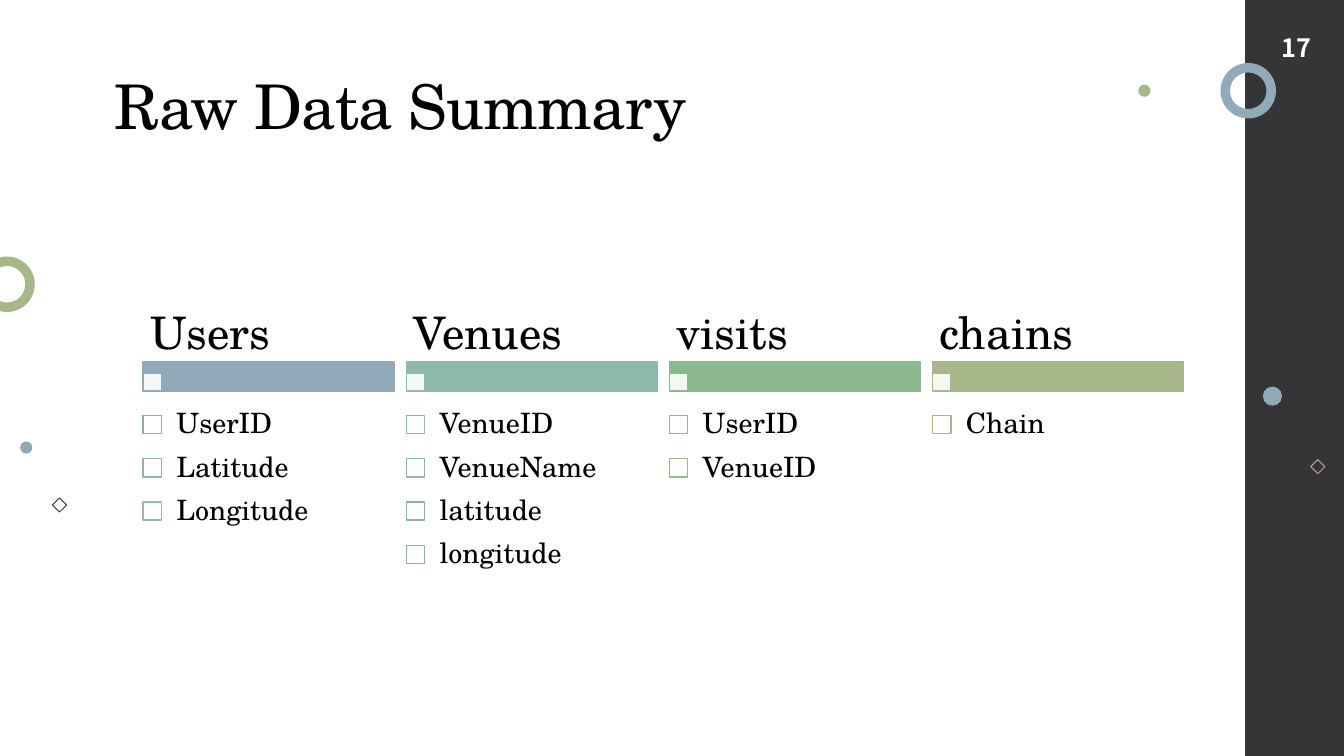
import pptx
import pptx.dml.color
import pptx.enum.shapes
import pptx.enum.text
import pptx.oxml.ns
import pptx.util
from lxml import etree

Inches = pptx.util.Inches
Pt = pptx.util.Pt
SHAPE = pptx.enum.shapes.MSO_SHAPE
ANCHOR = pptx.enum.text.MSO_ANCHOR

COLORS = {
    "black": "000000", "white": "FFFFFF", "band": "353537", "slate": "46464A",
    "tan": "B9A489", "blue": "92A9B9", "blue_teal": "91B2B9", "aqua": "90B9B7",
    "teal": "8FB8AD", "teal_green": "8EB8A3", "mint": "8DB898",
    "green": "8CB88E", "leaf": "94B78B", "moss": "9DB78A", "olive": "A7B789",
}
SERIF = "TeX Gyre Schola"
SANS = "Noto Sans CJK SC"

# heading, bar colour, fields with the colour of their box
TABLES = [
    ("Users", "blue",
     [("UserID", "blue"), ("Latitude", "blue_teal"), ("Longitude", "aqua")]),
    ("Venues", "teal",
     [("VenueID", "teal"), ("VenueName", "teal_green"),
      ("latitude", "mint"), ("longitude", "green")]),
    ("visits", "green", [("UserID", "leaf"), ("VenueID", "moss")]),
    ("chains", "olive", [("Chain", "olive")]),
]
COLUMN_LEFT, COLUMN_PITCH, COLUMN_WIDTH = 1.42, 2.61, 2.49
ROW_TOP, ROW_PITCH, BOX_SIZE = 4.0, 0.43, 0.18

# centre x, centre y, diameter, colour
RINGS = [(0.07, 2.82, 0.55, "olive"), (12.38, 0.9, 0.55, "blue")]
DOTS = [(11.35, 0.9, 0.12, "olive"), (0.26, 4.44, 0.12, "blue"),
        (12.62, 3.93, 0.19, "blue")]
DIAMONDS = [(0.59, 5.01, 0.14, "slate"), (13.07, 4.63, 0.14, "tan")]


def rgb(name):
    return pptx.dml.color.RGBColor.from_string(COLORS[name])


def set_attributes(target, values):
    for name, value in values.items():
        setattr(target, name, value)


def add_shape(slide, kind, box, fill=None, line=None, line_width=1.1):
    sp = slide.shapes.add_shape(kind, *map(Inches, box))
    sp.shadow.inherit = False
    if fill:
        sp.fill.solid()
        sp.fill.fore_color.rgb = rgb(fill)
    else:
        sp.fill.background()
    if line:
        sp.line.color.rgb = rgb(line)
        sp.line.width = Pt(line_width)
    else:
        sp.line.fill.background()
    return sp


def add_text(slide, text, box, size, insets=(0.1, 0.05), font=SERIF,
             color="black", bold=False, anchor=ANCHOR.TOP, spacing=None):
    """Add one line of text; insets are the side and the top/bottom margin."""
    side, end = map(Inches, insets)
    tf = slide.shapes.add_textbox(*map(Inches, box)).text_frame
    set_attributes(tf, {
        "word_wrap": True, "vertical_anchor": anchor,
        "margin_left": side, "margin_right": side,
        "margin_top": end, "margin_bottom": end,
    })
    p = tf.paragraphs[0]
    p.line_spacing = spacing
    r = p.add_run()
    r.text = text
    set_attributes(r.font, {"name": font, "size": Pt(size), "bold": bold})
    r.font.color.rgb = rgb(color)
    return r


def set_opacity(sp, percent):
    color = sp.fill._xPr.find(".//" + pptx.oxml.ns.qn("a:srgbClr"))
    alpha = etree.SubElement(color, pptx.oxml.ns.qn("a:alpha"))
    alpha.set("val", str(percent * 1000))


def add_centred(slide, kind, mark, **style):
    x, y, size, _ = mark
    return add_shape(slide, kind, (x - size / 2, y - size / 2, size, size), **style)


def add_decoration(slide):
    add_shape(slide, SHAPE.RECTANGLE, (12.35, 0, 0.98, 7.5), fill="band")
    for ring in RINGS:
        sp = add_centred(slide, SHAPE.DONUT, ring, fill=ring[-1])
        sp.adjustments[0] = 0.17
    for dot in DOTS:
        add_centred(slide, SHAPE.OVAL, dot, fill=dot[-1])
    for diamond in DIAMONDS:
        add_centred(slide, SHAPE.DIAMOND, diamond, line=diamond[-1], line_width=0.75)


def add_column(slide, left, heading, color, fields):
    """Add a heading over a coloured bar, with a list of fields below."""
    add_shape(slide, SHAPE.RECTANGLE, (left, 3.59, COLUMN_WIDTH, 0.29), color, color)
    notch = add_shape(slide, SHAPE.RECTANGLE, (left, 3.7, BOX_SIZE, BOX_SIZE),
                      "white", color)
    set_opacity(notch, 90)
    add_text(slide, heading, (left, 3.06, COLUMN_WIDTH, 0.53), 32, (0.07, 0.04),
             anchor=ANCHOR.MIDDLE, spacing=0.9)
    for row, (field, box_color) in enumerate(fields):
        top = ROW_TOP + row * ROW_PITCH
        add_shape(slide, SHAPE.RECTANGLE, (left, top + 0.12, BOX_SIZE, BOX_SIZE),
                  "white", box_color)
        add_text(slide, field, (left + 0.17, top, 2.31, ROW_PITCH), 20, (0.16, 0.16),
                 anchor=ANCHOR.MIDDLE, spacing=0.9)


def main():
    prs = pptx.Presentation()
    prs.slide_width, prs.slide_height = Inches(13.33), Inches(7.5)
    slide = prs.slides.add_slide(prs.slide_layouts[6])
    add_decoration(slide)
    title = add_text(slide, "Raw Data Summary", (1.04, 0.57, 11.26, 0.84), 44, (0.1, 0.1))
    title.font._element.set("spc", "-50")
    for i, table in enumerate(TABLES):
        add_column(slide, COLUMN_LEFT + i * COLUMN_PITCH, *table)
    add_text(slide, "17", (12.61, 0.27, 0.51, 0.4), 18, font=SANS, color="white", bold=True)
    prs.save("out.pptx")


if __name__ == "__main__":
    main()
